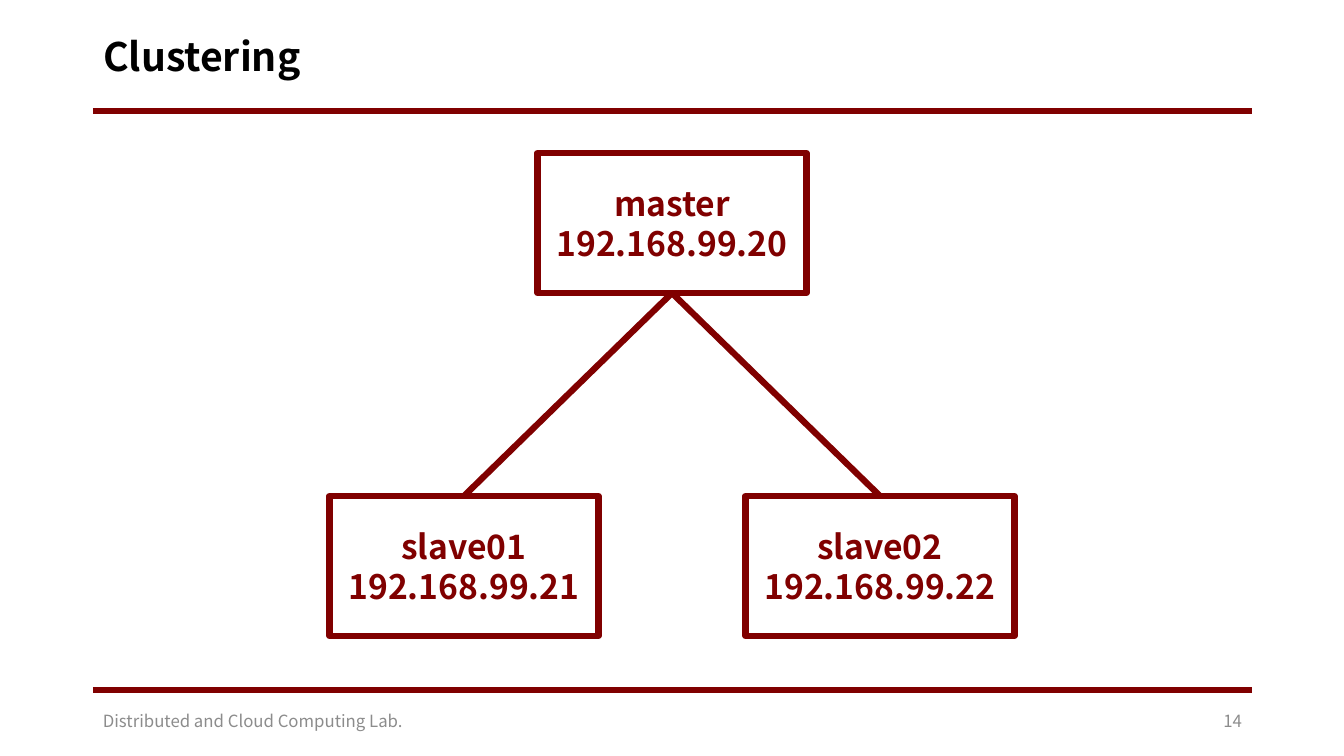
from dataclasses import dataclass

from lxml.etree import SubElement
from pptx import Presentation
from pptx.dml.color import RGBColor
from pptx.enum.shapes import MSO_CONNECTOR, MSO_SHAPE
from pptx.enum.text import MSO_ANCHOR, MSO_AUTO_SIZE, PP_ALIGN
from pptx.oxml.ns import qn
from pptx.util import Pt

TITLE = "Clustering"
LAB = "Distributed and Cloud Computing Lab."
PAGE_NUMBER = "14"

# Each node: host name, address, centre x, centre y
MASTER = ("master", "192.168.99.20", 672, 223)
SLAVES = [
    ("slave01", "192.168.99.21", 464, 566),
    ("slave02", "192.168.99.22", 880, 566),
]

SLIDE_WIDTH, SLIDE_HEIGHT = 1344, 756
LEFT, RIGHT = 93, 1252
RULE_YS = (111, 690)
TITLE_TOP, TITLE_HEIGHT = 15, 87
FOOTER_TOP, FOOTER_HEIGHT = 701, 40
LAB_WIDTH, NUMBER_WIDTH = 454, 302
NODE_WIDTH, NODE_HEIGHT = 269, 140
TOP_SITE, BOTTOM_SITE = 0, 2


@dataclass(frozen=True)
class Theme:
    """Colours, font and sizes of the slide."""
    font: str = "Noto Sans CJK KR"
    accent: RGBColor = RGBColor(0x80, 0x00, 0x00)
    heading: RGBColor = RGBColor(0x00, 0x00, 0x00)
    muted: RGBColor = RGBColor(0x8C, 0x8C, 0x8C)
    title_size: Pt = Pt(28)
    node_size: Pt = Pt(24)
    footer_size: Pt = Pt(12)
    stroke: Pt = Pt(4.5)


THEME = Theme()


def px(*lengths):
    """Turn pixel lengths into a list of EMU."""
    return [round(length * 914400 / 100.8) for length in lengths]


def write(shape, lines, size, color, bold=False, align=PP_ALIGN.LEFT):
    """Fill a shape with one formatted paragraph per line."""
    frame = shape.text_frame
    frame.text = "\n".join(lines)
    frame.word_wrap = True
    frame.auto_size = MSO_AUTO_SIZE.NONE
    frame.vertical_anchor = MSO_ANCHOR.MIDDLE
    for paragraph in frame.paragraphs:
        paragraph.alignment = align
        paragraph.font.name = THEME.font
        paragraph.font.size = size
        paragraph.font.bold = bold
        paragraph.font.color.rgb = color


def add_line(slide, start=(0, 0), end=(0, 0)):
    """Draw a flat accent line between two pixel points."""
    line = slide.shapes.add_connector(MSO_CONNECTOR.STRAIGHT, *px(*start, *end))
    line.line.color.rgb = THEME.accent
    line.line.width = THEME.stroke
    SubElement(line._element.spPr, qn("a:effectLst"))
    return line


def add_footer(slide, text, left, width, align):
    """Add one muted text in the footer row."""
    box = slide.shapes.add_textbox(*px(left, FOOTER_TOP, width, FOOTER_HEIGHT))
    write(box, [text], THEME.footer_size, THEME.muted, align=align)


def add_node(slide, host, address, center_x, center_y):
    """Draw an outlined box for one host of the cluster."""
    node = slide.shapes.add_shape(MSO_SHAPE.RECTANGLE, *px(
        center_x - NODE_WIDTH / 2, center_y - NODE_HEIGHT / 2,
        NODE_WIDTH, NODE_HEIGHT))
    node.shadow.inherit = False
    node.fill.background()
    node.line.color.rgb = THEME.accent
    node.line.width = THEME.stroke
    write(node, [host, address], THEME.node_size, THEME.accent,
          bold=True, align=PP_ALIGN.CENTER)
    return node


def add_title(slide):
    """Place and format the title placeholder."""
    title = slide.shapes.title
    title.left, title.top, title.width, title.height = px(
        LEFT, TITLE_TOP, RIGHT - LEFT, TITLE_HEIGHT)
    write(title, [TITLE], THEME.title_size, THEME.heading, bold=True)
    title.text_frame.paragraphs[0].line_spacing = 0.9


def main():
    """Build the slide and save it."""
    deck = Presentation()
    deck.slide_width, deck.slide_height = px(SLIDE_WIDTH, SLIDE_HEIGHT)
    slide = deck.slides.add_slide(deck.slide_layouts.get_by_name("Title Only"))

    for y in RULE_YS:
        add_line(slide, (LEFT, y), (RIGHT, y))
    add_title(slide)
    add_footer(slide, LAB, LEFT, LAB_WIDTH, PP_ALIGN.LEFT)
    add_footer(slide, PAGE_NUMBER, RIGHT - NUMBER_WIDTH, NUMBER_WIDTH, PP_ALIGN.RIGHT)

    master = add_node(slide, *MASTER)
    slaves = [add_node(slide, *slave) for slave in SLAVES]
    for slave in slaves:
        link = add_line(slide)
        link.begin_connect(slave, TOP_SITE)
        link.end_connect(master, BOTTOM_SITE)

    deck.save("out.pptx")


main()
